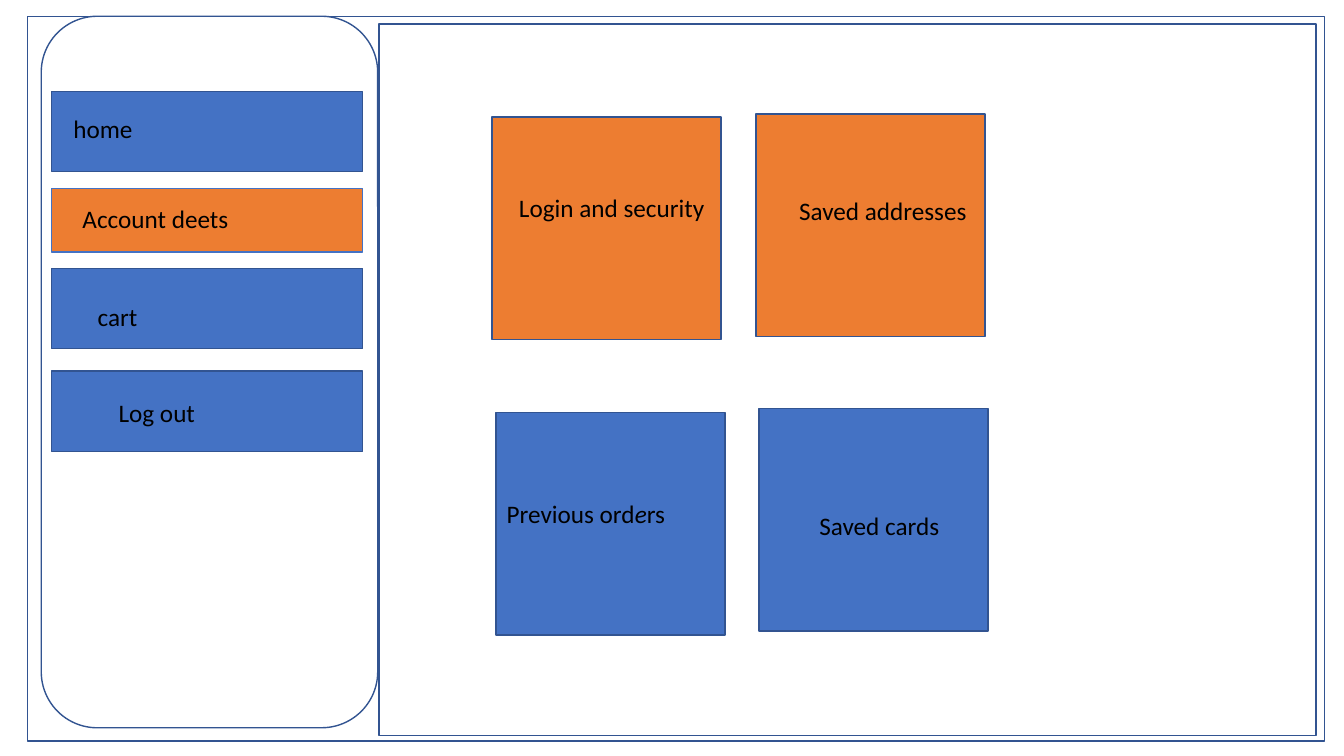
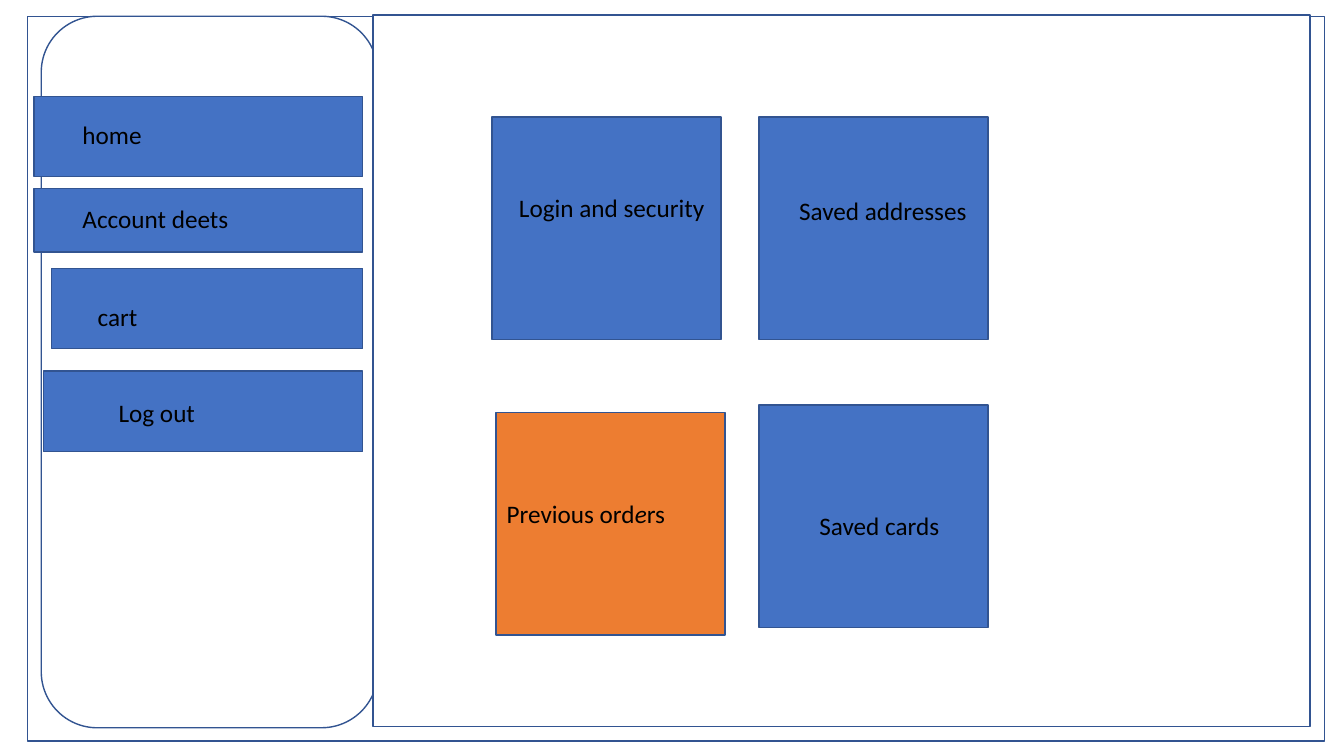
from dataclasses import dataclass, replace

from pptx import Presentation
from pptx.dml.color import RGBColor
from pptx.enum.shapes import MSO_SHAPE
from pptx.enum.text import MSO_AUTO_SIZE
from pptx.slide import Slide
from pptx.util import Cm, Pt

WHITE, BLACK = "FFFFFF", "000000"
BLUE, NAVY, ORANGE = "4472C4", "325491", "ED7D31"
FONT, FONT_SIZE = "Calibri", 18
LABEL_HEIGHT = 1.02
BUTTON_RIGHT = 9.14
TILE_WIDTH, TILE_HEIGHT = 5.77, 5.61


@dataclass(frozen=True)
class Box:
    """An outlined area, in centimetres."""
    left: float
    top: float
    width: float
    height: float
    fill: str = WHITE
    outline: str = NAVY
    form: MSO_SHAPE = MSO_SHAPE.RECTANGLE


@dataclass(frozen=True)
class Label:
    """A caption; text between asterisks is italic."""
    text: str
    left: float
    top: float
    width: float = 6.6


@dataclass(frozen=True)
class Item:
    """A menu button or an account tile with its caption."""
    box: Box
    label: Label


def color(hex_code: str) -> RGBColor:
    """Turn a hex string into a colour."""
    return RGBColor.from_string(hex_code)


def button(left: float, top: float, height: float, label: Label) -> Item:
    """Describe a menu button that ends at the shared right edge."""
    return Item(Box(left, top, BUTTON_RIGHT - left, height, BLUE), label)


def tile(left: float, top: float, label: Label) -> Item:
    """Describe an account tile of the shared size."""
    return Item(Box(left, top, TILE_WIDTH, TILE_HEIGHT, BLUE), label)


def selected(item: Item, outline: str = NAVY) -> Item:
    """Return the item in the highlight colour."""
    return replace(item, box=replace(item.box, fill=ORANGE, outline=outline))


def draw_box(slide: Slide, box: Box) -> None:
    """Draw one outlined area."""
    area = slide.shapes.add_shape(
        box.form, Cm(box.left), Cm(box.top), Cm(box.width), Cm(box.height))
    area.shadow.inherit = False
    area.fill.solid()
    area.fill.fore_color.rgb = color(box.fill)
    area.line.color.rgb = color(box.outline)
    area.line.width = Pt(1)


def draw_label(slide: Slide, label: Label) -> None:
    """Write one caption."""
    caption = slide.shapes.add_textbox(
        Cm(label.left), Cm(label.top), Cm(label.width), Cm(LABEL_HEIGHT))
    frame = caption.text_frame
    frame.word_wrap = True
    frame.auto_size = MSO_AUTO_SIZE.SHAPE_TO_FIT_TEXT
    paragraph = frame.paragraphs[0]
    paragraph.font.name = FONT
    paragraph.font.size = Pt(FONT_SIZE)
    paragraph.font.color.rgb = color(BLACK)
    for index, part in enumerate(label.text.split("*")):
        run = paragraph.add_run()
        run.text = part
        if index % 2:
            run.font.italic = True


def draw_items(slide: Slide, items: list[Item]) -> None:
    """Draw the boxes of a group, then their captions."""
    for item in items:
        draw_box(slide, item.box)
    for item in items:
        draw_label(slide, item.label)


def draw_page(deck: Presentation, content: Box,
              menu: list[Item], tiles: list[Item]) -> None:
    """Add a page with the shared frame and sidebar."""
    slide = deck.slides.add_slide(deck.slide_layouts[6])
    for area in (PAGE_FRAME, SIDEBAR, content):
        draw_box(slide, area)
    draw_items(slide, menu)
    draw_items(slide, tiles)


PAGE_FRAME = Box(0.69, 0.41, 32.69, 18.26)
SIDEBAR = Box(1.04, 0.41, 8.48, 17.93, form=MSO_SHAPE.ROUNDED_RECTANGLE)
CONTENT = Box(9.55, 0.61, 23.62, 17.93)

HOME = Label("home", 1.6, 2.72)
ACCOUNT = Label("Account deets", 1.83, 5, 5.97)
CART = Label("cart", 2.21, 7.47, 5.41)
LOG_OUT = Label("Log out", 2.74, 9.88, 5.05)

LOGIN = Label("Login and security", 12.83, 4.72)
ADDRESSES = Label("Saved addresses", 19.89, 4.8)
CARDS = Label("Saved cards", 20.4, 12.73)
ORDERS = Label("Previous ord*e*rs", 12.52, 12.42)

cart_button = button(1.3, 6.76, 2.03, CART)
login_tile = tile(12.4, 2.95, LOGIN)
orders_tile = tile(12.5, 10.39, ORDERS)

deck = Presentation()
deck.slide_width, deck.slide_height = Cm(33.87), Cm(19.05)

draw_page(
    deck, CONTENT,
    menu=[button(1.3, 2.31, 2.01, HOME),
          selected(button(1.3, 4.75, 1.6, ACCOUNT), outline=BLUE),
          cart_button,
          button(1.3, 9.35, 2.03, LOG_OUT)],
    tiles=[selected(login_tile),
           selected(tile(19.05, 2.87, ADDRESSES)),
           tile(19.13, 10.29, CARDS),
           orders_tile])

draw_page(
    deck, replace(CONTENT, left=9.4, top=0.38),
    menu=[button(0.86, 2.44, 2.01, replace(HOME, left=1.83, top=2.87)),
          button(0.86, 4.75, 1.6, ACCOUNT),
          cart_button,
          button(1.09, 9.35, 2.03, LOG_OUT)],
    tiles=[login_tile,
           tile(19.13, 2.95, ADDRESSES),
           tile(19.13, 10.21, CARDS),
           selected(orders_tile)])

deck.save("out.pptx")
